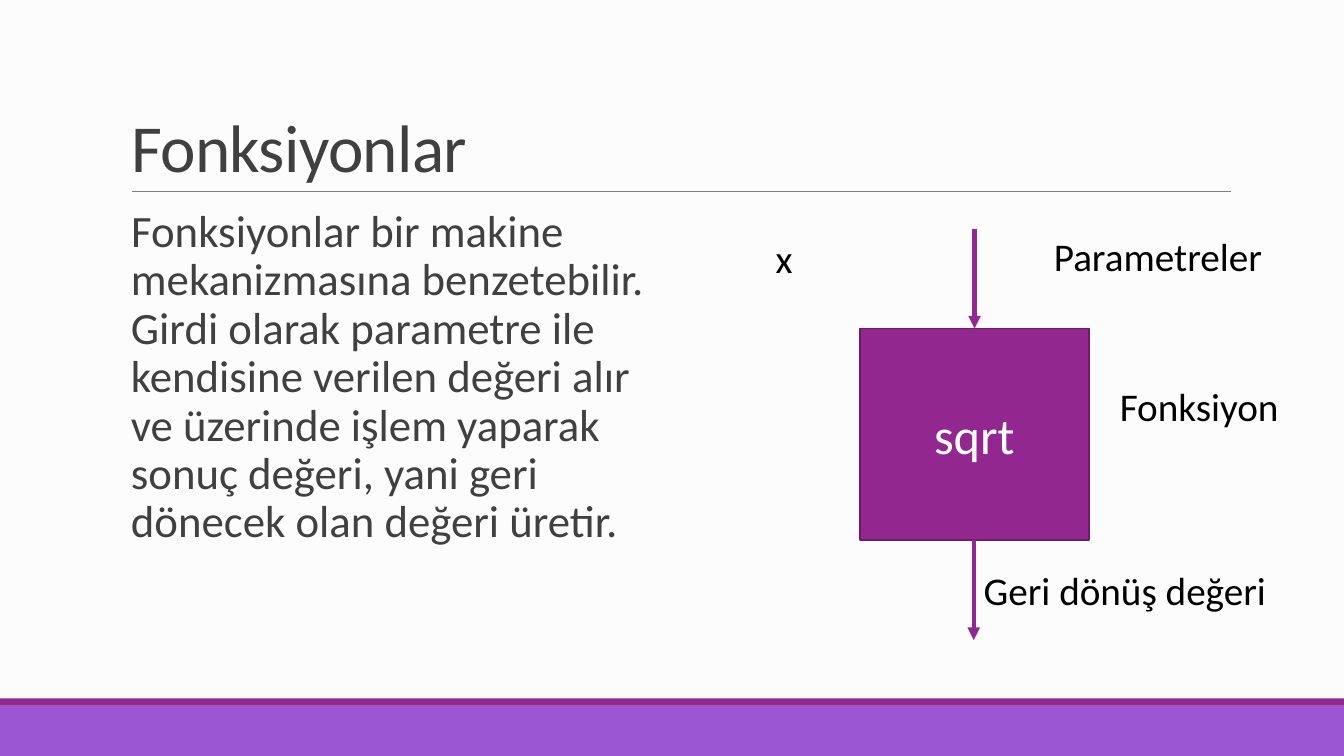
import lxml.etree
import pptx
import pptx.dml.color
import pptx.enum.shapes
import pptx.enum.text
import pptx.oxml.ns
import pptx.util

Cm = pptx.util.Cm
Pt = pptx.util.Pt
Align = pptx.enum.text.PP_ALIGN
Anchor = pptx.enum.text.MSO_ANCHOR


def color(value):
    return pptx.dml.color.RGBColor.from_string(value)


def add_element(parent, tag, **attributes):
    return lxml.etree.SubElement(parent, pptx.oxml.ns.qn(tag), **attributes)


class SlideBuilder:
    font_name = "Calibri"
    purple = "92278F"
    violet = "9B57D3"
    outline = "6C1D6A"
    gray = "404040"

    def __init__(self, page):
        self.page = page
        page.background.fill.solid()
        page.background.fill.fore_color.rgb = color("FCFCFC")

    def add_span(self, para, text, size, text_color):
        span = para.add_run()
        span.text = text
        span.font.name = self.font_name
        span.font.size = Pt(size)
        span.font.color.rgb = color(text_color)
        return span

    def place(self, box, left, top, width, height):
        box.left, box.top = Cm(left), Cm(top)
        box.width, box.height = Cm(width), Cm(height)
        box.text_frame.auto_size = pptx.enum.text.MSO_AUTO_SIZE.NONE
        box.text_frame.word_wrap = True

    def title(self, text, *area):
        box = self.page.shapes.title
        self.place(box, *area)
        box.text_frame.vertical_anchor = Anchor.BOTTOM
        para = box.text_frame.paragraphs[0]
        para.alignment = Align.LEFT
        para.line_spacing = 0.85
        span = self.add_span(para, text, 48, self.gray)
        span._r.get_or_add_rPr().set("spc", "-50")

    def body(self, text, *area):
        box = self.page.placeholders[1]
        self.place(box, *area)
        frame = box.text_frame
        frame.margin_left = frame.margin_right = 0
        frame.vertical_anchor = Anchor.TOP
        para = frame.paragraphs[0]
        properties = para._p.get_or_add_pPr()
        properties.set("marL", str(Cm(0.25)))
        properties.set("indent", str(-Cm(0.25)))
        bullet_color = add_element(properties, "a:buClr")
        add_element(bullet_color, "a:srgbClr", val=self.purple)
        add_element(properties, "a:buFont", typeface=self.font_name)
        add_element(properties, "a:buChar", char=" ")
        para.line_spacing = 0.9
        para.space_before = Pt(0)
        para.space_after = Pt(2)
        self.add_span(para, text, 32, self.gray)

    def rectangle(self, fill, left, top, width, height):
        box = self.page.shapes.add_shape(
            pptx.enum.shapes.MSO_SHAPE.RECTANGLE,
            Cm(left), Cm(top), Cm(width), Cm(height))
        box.shadow.inherit = False
        box.fill.solid()
        box.fill.fore_color.rgb = color(fill)
        box.line.fill.background()
        return box

    def machine(self, text, *area):
        box = self.rectangle(self.purple, *area)
        box.line.color.rgb = color(self.outline)
        box.line.width = Pt(1.25)
        box.text_frame.vertical_anchor = Anchor.MIDDLE
        para = box.text_frame.paragraphs[0]
        para.alignment = Align.CENTER
        self.add_span(para, text, 36, "FFFFFF")

    def line(self, line_color, width, start, end):
        connector = self.page.shapes.add_connector(
            pptx.enum.shapes.MSO_CONNECTOR.STRAIGHT,
            *map(Cm, start), *map(Cm, end))
        connector.line.color.rgb = color(line_color)
        connector.line.width = Pt(width)
        add_element(connector._element.spPr, "a:effectLst")
        return connector

    def arrow(self, start, end):
        connector = self.line(self.purple, 3, start, end)
        outline = connector._element.spPr.get_or_add_ln()
        add_element(outline, "a:tailEnd", type="triangle")

    def label(self, text, left, top, width):
        box = self.page.shapes.add_textbox(Cm(left), Cm(top), Cm(width), Cm(1.45))
        box.text_frame.word_wrap = True
        self.add_span(box.text_frame.paragraphs[0], text, 28, "000000")


def main():
    deck = pptx.Presentation()
    deck.slide_width, deck.slide_height = Cm(33.87), Cm(19.05)
    builder = SlideBuilder(deck.slides.add_slide(deck.slide_layouts[1]))

    builder.rectangle(builder.violet, 0, 17.78, 33.87, 1.27)
    builder.rectangle(builder.purple, 0, 17.6, 33.87, 0.18)
    builder.line("808080", 0.5, (3.33, 4.83), (31.01, 4.83))

    builder.title("Fonksiyonlar", 3.05, 0.79, 27.94, 4.04)
    builder.body(
        "Fonksiyonlar bir makine mekanizmasına benzetebilir. "
        "Girdi olarak parametre ile kendisine verilen değeri alır "
        "ve üzerinde işlem yaparak sonuç değeri, yani geri dönecek "
        "olan değeri üretir.", 3.05, 5.13, 13.72, 11.18)

    builder.machine("sqrt", 21.67, 8.28, 5.77, 5.33)
    builder.arrow((24.56, 5.77), (24.56, 8.28))
    builder.arrow((24.54, 13.61), (24.54, 16.13))

    for text, left, top, width in (
        ("x", 19.3, 5.77, 2.36),
        ("Parametreler", 26.31, 5.74, 6.05),
        ("Fonksiyon", 27.97, 9.5, 5.9),
        ("Geri dönüş değeri", 24.54, 14.15, 8.23),
    ):
        builder.label(text, left, top, width)

    deck.save("out.pptx")


if __name__ == "__main__":
    main()
